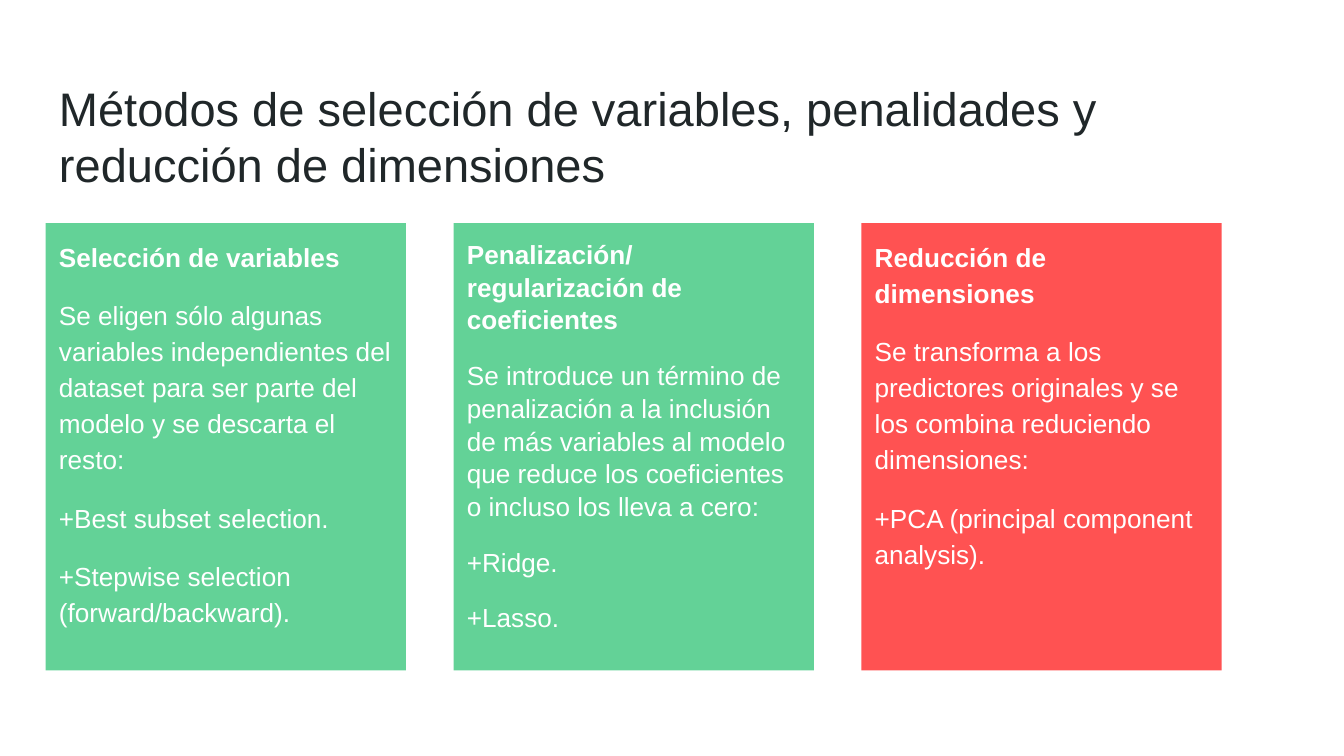
from pptx import Presentation
from pptx.dml.color import RGBColor
from pptx.enum.shapes import MSO_SHAPE
from pptx.enum.text import MSO_ANCHOR, PP_ALIGN
from pptx.util import Inches, Pt

WHITE = RGBColor(0xFF, 0xFF, 0xFF)
INK = RGBColor(0x20, 0x27, 0x29)
GREEN = RGBColor(0x63, 0xD2, 0x97)
RED = RGBColor(0xFF, 0x52, 0x52)

SLIDE_W = 10
SLIDE_H = SLIDE_W * 9 / 16
MARGIN = 0.34
COLUMN_W = 2.68
LAST_COLUMN_LEFT = 6.41
COLUMN_TOP, COLUMN_H = 1.66, 3.33

# Fill, line spacing, heading, body paragraphs
METHODS = [
    (GREEN, 1.15, "Selección de variables", [
        "Se eligen sólo algunas variables independientes del dataset "
        "para ser parte del modelo y se descarta el resto:",
        "+Best subset selection.",
        "+Stepwise selection (forward/backward)."]),
    (GREEN, 1.05, "Penalización/regularización de coeficientes", [
        "Se introduce un término de penalización a la inclusión de más "
        "variables al modelo que reduce los coeficientes o incluso los "
        "lleva a cero:",
        "+Ridge.",
        "+Lasso."]),
    (RED, 1.15, "Reducción de dimensiones", [
        "Se transforma a los predictores originales y se los combina "
        "reduciendo dimensiones:",
        "+PCA (principal component analysis)."]),
]


def prepare_frame(frame):
    frame.word_wrap = True
    frame.vertical_anchor = MSO_ANCHOR.TOP
    frame.margin_left = frame.margin_right = Inches(0.1)
    frame.margin_top = frame.margin_bottom = Inches(0.1)


def write(paragraph, text, size=14, color=WHITE, bold=False, spacing=1.0, before=0):
    paragraph.alignment = PP_ALIGN.LEFT
    paragraph.line_spacing = spacing
    paragraph.space_before = Pt(before)
    run = paragraph.add_run()
    run.text = text
    run.font.name = "Arial"
    run.font.size = Pt(size)
    run.font.bold = bold
    run.font.color.rgb = color


def add_title(slide, box):
    frame = slide.shapes.add_textbox(*map(Inches, box)).text_frame
    prepare_frame(frame)
    write(frame.paragraphs[0],
          "Métodos de selección de variables, penalidades y reducción de dimensiones",
          size=25.2, color=INK)


def add_method(slide, box, fill, spacing, heading, body):
    card = slide.shapes.add_shape(MSO_SHAPE.RECTANGLE, *map(Inches, box))
    card.shadow.inherit = False
    card.fill.solid()
    card.fill.fore_color.rgb = fill
    card.line.fill.background()
    frame = card.text_frame
    prepare_frame(frame)
    write(frame.paragraphs[0], heading, bold=True, spacing=spacing)
    for text in body:
        write(frame.add_paragraph(), text, spacing=spacing, before=12)


def main():
    deck = Presentation()
    deck.slide_width, deck.slide_height = Inches(SLIDE_W), Inches(SLIDE_H)
    slide = deck.slides.add_slide(deck.slide_layouts[6])

    # Title across the top
    add_title(slide, (MARGIN, 0.49, SLIDE_W - 2 * MARGIN, 0.63))

    # Equal columns, one per family of methods
    pitch = (LAST_COLUMN_LEFT - MARGIN) / (len(METHODS) - 1)
    for column, method in enumerate(METHODS):
        left = MARGIN + column * pitch
        add_method(slide, (left, COLUMN_TOP, COLUMN_W, COLUMN_H), *method)

    deck.save("out.pptx")


if __name__ == "__main__":
    main()
